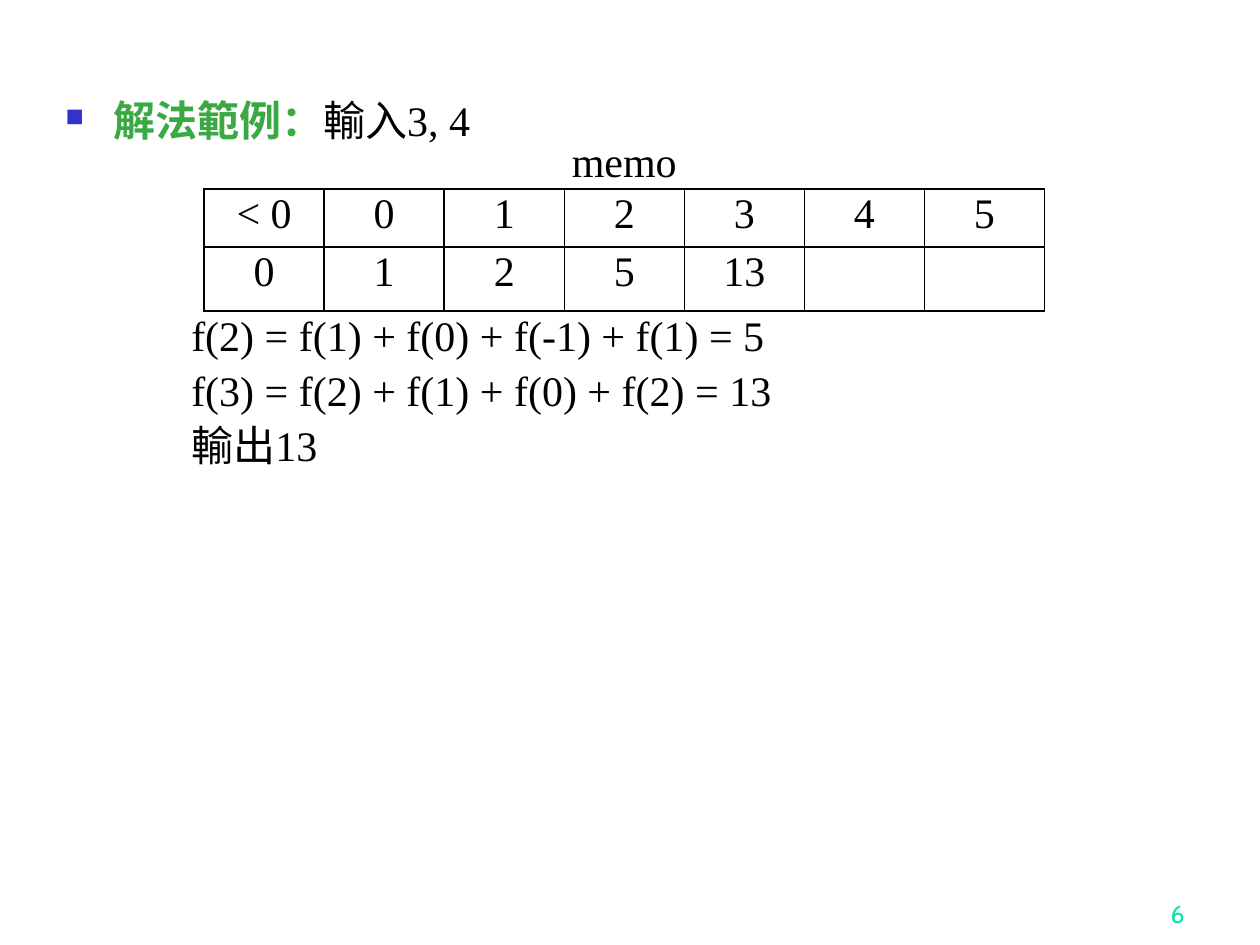
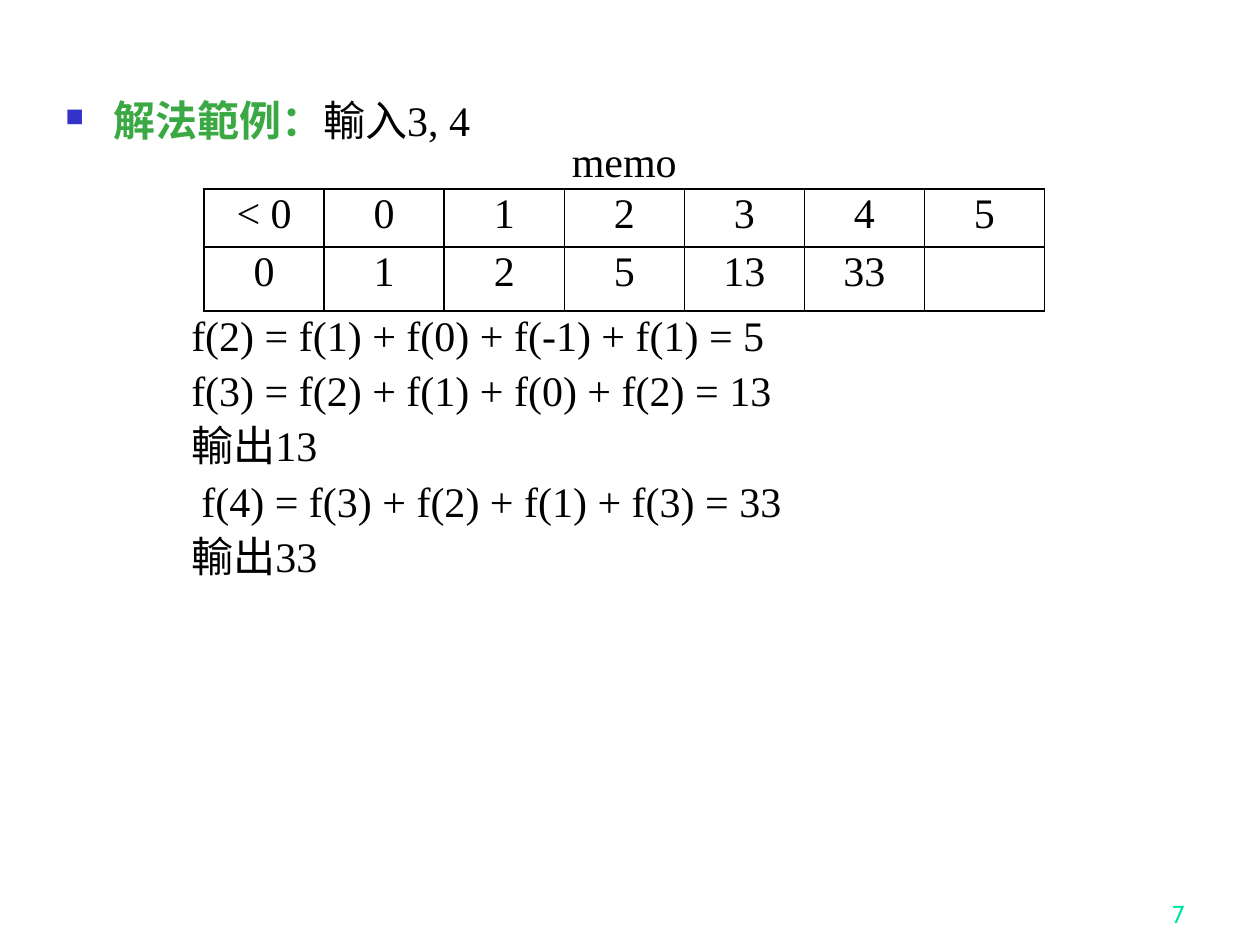
import pptx
import pptx.util
import pptx.dml.color
import pptx.enum.text
import pptx.oxml
import pptx.oxml.ns
from pptx.util import Inches

ALIGN = pptx.enum.text.PP_ALIGN
ANCHOR = pptx.enum.text.MSO_ANCHOR
COLORS = {"text": "000000", "accent": "3BA943", "bullet": "3333CC", "number": "00E4A8"}
BODY = {"name": "Times New Roman", "size": pptx.util.Pt(24), "color": "text"}
LABEL = {**BODY, "color": "accent", "bold": True}
NUMBER = {"name": "Cabin", "size": pptx.util.Pt(14), "color": "number"}
LINES = {"line_spacing": 0.9}
NEXT_LINES = {**LINES, "space_before": pptx.util.Pt(5.76)}
NS = 'xmlns:a="http://schemas.openxmlformats.org/drawingml/2006/main"'

HEADS = ["< 0", "0", "1", "2", "3", "4", "5"]
STEPS = [
    ("f(2) = f(1) + f(0) + f(-1) + f(1) = 5", 0),
    ("f(3) = f(2) + f(1) + f(0) + f(2) = 13", 0),
    ("輸出13", 0),
    ("f(4) = f(3) + f(2) + f(1) + f(3) = 33", 0.08),
    ("輸出33", 0),
]
STATES = [
    (6, ["0", "1", "2", "5", "13", "", ""], STEPS[:3]),
    (7, ["0", "1", "2", "5", "13", "33", ""], STEPS),
]


class Deck:
    def __init__(self):
        self.prs = pptx.Presentation()
        self.prs.slide_width, self.prs.slide_height = Inches(10), Inches(7.5)
        self.s = None

    def slide(self):
        self.s = self.prs.slides.add_slide(self.prs.slide_layouts[6])

    def apply(self, obj, values):
        for key, value in values.items():
            if key == "color":
                obj.color.rgb = pptx.dml.color.RGBColor.from_string(COLORS[value])
            else:
                setattr(obj, key, value)

    def run(self, p, text, style=BODY):
        r = p.add_run()
        r.text = text
        self.apply(r.font, style)

    def box(self, left, top, width, height, **frame):
        sp = self.s.shapes.add_textbox(*map(Inches, (left, top, width, height)))
        tf = sp.text_frame
        self.apply(tf, {"word_wrap": True, **frame})
        return tf

    def indent(self, p, left, first=0):
        pPr = p._p.get_or_add_pPr()
        pPr.set("marL", str(Inches(left)))
        pPr.set("indent", str(Inches(first)))
        return pPr

    def heading(self, label, text):
        p = self.box(0.42, 0.75, 8.83, 0.5).paragraphs[0]
        self.apply(p, LINES)
        pPr = self.indent(p, 0.38, -0.38)
        for xml in (
            f'<a:buClr {NS}><a:srgbClr val="{COLORS["bullet"]}"/></a:buClr>',
            f'<a:buSzPct {NS} val="60000"/>',
            f'<a:buChar {NS} char="■"/>',
        ):
            pPr.append(pptx.oxml.parse_xml(xml))
        self.run(p, label, LABEL)
        self.run(p, text)

    def caption(self, text):
        p = self.box(4.44, 1.07, 1.04, 0.46, word_wrap=False).paragraphs[0]
        self.apply(p, LINES)
        self.run(p, text)

    def borders(self, cell):
        tcPr = cell._tc.get_or_add_tcPr()
        for side in "LRTB":
            tcPr.append(pptx.oxml.parse_xml(
                f'<a:ln{side} {NS} w="12700"><a:solidFill>'
                f'<a:srgbClr val="{COLORS["text"]}"/></a:solidFill></a:ln{side}>'))

    def table(self, rows, heights):
        n = len(rows[0])
        width = Inches(6.67)
        sp = self.s.shapes.add_table(len(rows), n, Inches(1.62), Inches(1.5),
                                     width, Inches(sum(heights)))
        tbl = sp.table
        self.apply(tbl, {"first_row": False, "horz_banding": False})
        for col in tbl.columns:
            col.width = width // n
        for i, (row, height) in enumerate(zip(rows, heights)):
            tbl.rows[i].height = Inches(height)
            for j, text in enumerate(row):
                cell = tbl.cell(i, j)
                self.borders(cell)
                cell.fill.background()
                p = cell.text_frame.paragraphs[0]
                self.apply(p, {**LINES, "alignment": ALIGN.CENTER})
                if text:
                    self.run(p, text)

    def steps(self, lines):
        tf = self.box(1.42, 2.45, 7.83, 4.4)
        for i, (text, left) in enumerate(lines):
            p = tf.add_paragraph() if i else tf.paragraphs[0]
            self.apply(p, NEXT_LINES if i else LINES)
            self.indent(p, left)
            self.run(p, text)

    def number(self, n):
        tf = self.box(7.42, 6.92, 2.08, 0.5, vertical_anchor=ANCHOR.BOTTOM)
        p = tf.paragraphs[0]
        p.alignment = ALIGN.RIGHT
        self.run(p, str(n), NUMBER)


def main():
    deck = Deck()
    for n, memo, lines in STATES:
        deck.slide()
        deck.number(n)
        deck.heading("解法範例：", "輸入3, 4")
        deck.caption("memo")
        deck.table([HEADS, memo], [0.46, 0.51])
        deck.steps(lines)
    deck.prs.save("out.pptx")


if __name__ == "__main__":
    main()
